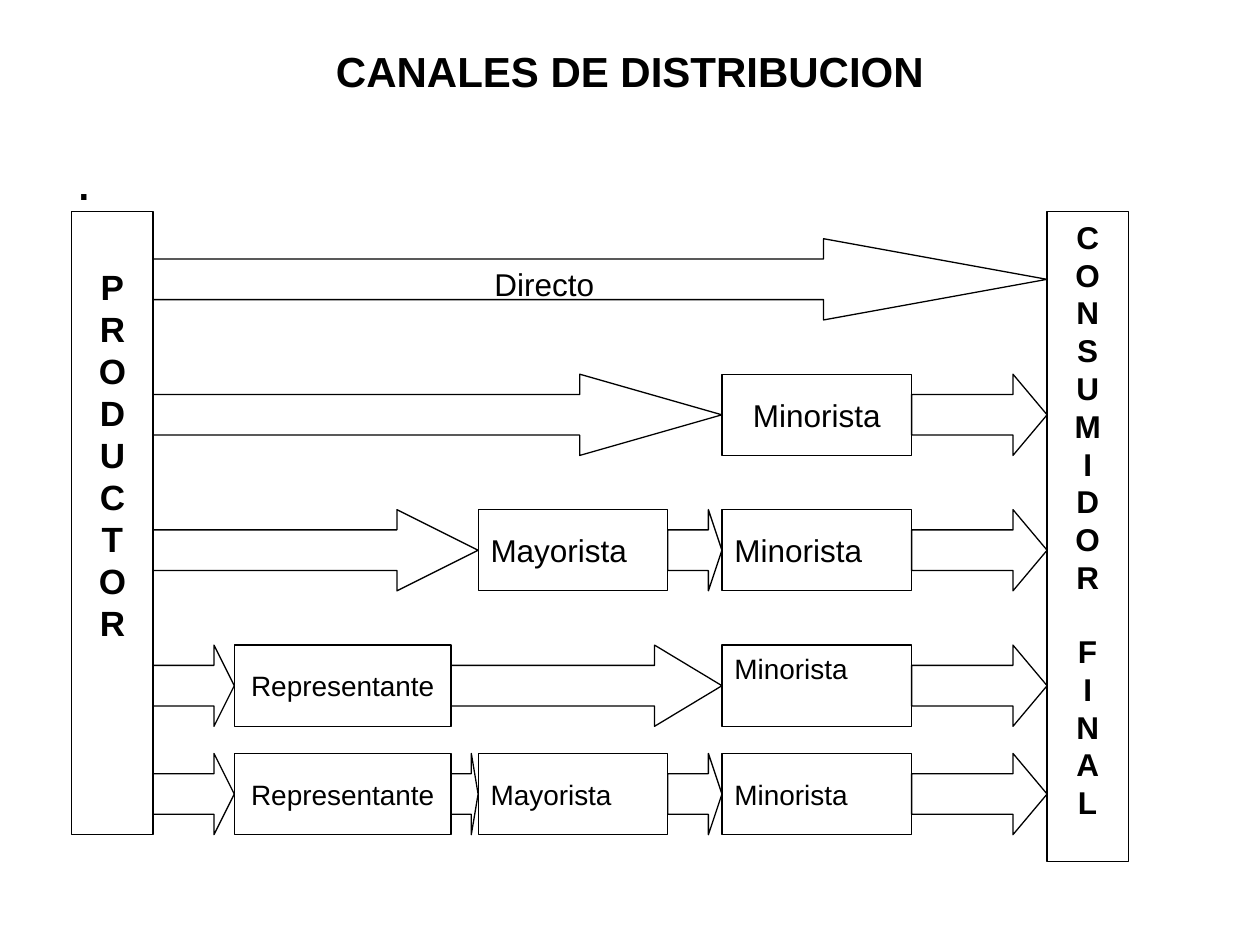
from pptx import Presentation
from pptx.dml.color import RGBColor
from pptx.enum.shapes import MSO_SHAPE
from pptx.enum.text import MSO_ANCHOR, PP_ALIGN
from pptx.util import Inches, Pt

BLACK = RGBColor(0, 0, 0)
FONT = "Arial"
UNIT = 0.215
LEFT, TOP = 0.57, 1.68
BAND = 3
PRODUCER_EDGE, CONSUMER_EDGE = 3, 36
SPANS = {"Representante": (6, 14), "Mayorista": (15, 22), "Minorista": (24, 31)}
CENTER, START = PP_ALIGN.CENTER, PP_ALIGN.LEFT
MIDDLE, UPPER = MSO_ANCHOR.MIDDLE, MSO_ANCHOR.TOP

# Each route: grid row, arrowhead ratios, label size, and stops as (name, alignment, anchor).
ROUTES = [
    (1, [2.75], 18, []),
    (6, [1.75, 0.42], 18, [("Minorista", CENTER, MIDDLE)]),
    (11, [1, 0.25, 0.42], 18, [("Mayorista", START, MIDDLE), ("Minorista", START, MIDDLE)]),
    (16, [0.25, 0.83, 0.42], 16, [("Representante", CENTER, MIDDLE), ("Minorista", START, UPPER)]),
    (20, [0.25, 0.25, 0.25, 0.42], 16, [("Representante", CENTER, MIDDLE),
                                        ("Mayorista", START, MIDDLE), ("Minorista", START, MIDDLE)]),
]


def write(paragraph, text, size, bold=False, alignment=CENTER):
    """Add one formatted run to a paragraph."""
    paragraph.alignment = alignment
    run = paragraph.add_run()
    run.text = text
    run.font.name = FONT
    run.font.size = Pt(size)
    run.font.bold = bold
    run.font.color.rgb = BLACK


def add_text(slide, text, bounds, size, bold=False, alignment=CENTER, anchor=UPPER):
    """Add a wrapped text box with bounds in inches."""
    frame = slide.shapes.add_textbox(*map(Inches, bounds)).text_frame
    frame.word_wrap = True
    frame.vertical_anchor = anchor
    write(frame.paragraphs[0], text, size, bold, alignment)


def add_outline(slide, kind, column, row, columns, rows=BAND):
    """Add an unfilled shape placed on the grid."""
    shape = slide.shapes.add_shape(
        kind, Inches(LEFT + column * UNIT), Inches(TOP + row * UNIT),
        Inches(columns * UNIT), Inches(rows * UNIT))
    shape.shadow.inherit = False
    shape.fill.background()
    shape.line.color.rgb = BLACK
    shape.line.width = Pt(0.75)
    shape.text_frame.vertical_anchor = UPPER
    return shape


def add_pillar(slide, words, column, rows, size, top_inset=0.05):
    """Add a tall box that spells its words one letter per line."""
    frame = add_outline(slide, MSO_SHAPE.RECTANGLE, column, 0, BAND, rows).text_frame
    frame.margin_top = Inches(top_inset)
    paragraph = frame.paragraphs[0]
    for word_index, word in enumerate(words):
        for letter_index, letter in enumerate(word):
            if word_index or letter_index:
                paragraph = frame.add_paragraph()
            if word_index and not letter_index:
                paragraph.space_before = Pt(size * 1.15)
            write(paragraph, letter, size, bold=True)


def add_arrow(slide, start, end, row, head):
    """Add a block arrow between two grid columns."""
    arrow = add_outline(slide, MSO_SHAPE.RIGHT_ARROW, start, row, end - start)
    arrow.adjustments[0] = 0.5
    arrow.adjustments[1] = head
    return arrow


def add_route(slide, row, heads, size, stops):
    """Add the stops of one channel and the arrows that join them."""
    starts, ends = [PRODUCER_EDGE], []
    for name, alignment, anchor in stops:
        first, last = SPANS[name]
        frame = add_outline(slide, MSO_SHAPE.RECTANGLE, first, row, last - first).text_frame
        frame.vertical_anchor = anchor
        write(frame.paragraphs[0], name, size, alignment=alignment)
        starts.append(last)
        ends.append(first)
    ends.append(CONSUMER_EDGE)
    arrows = [add_arrow(slide, start, end, row, head)
              for start, end, head in zip(starts, ends, heads)]
    if not stops:
        write(arrows[0].text_frame.paragraphs[0], "Directo", size)


def main():
    """Build the distribution channel slide."""
    presentation = Presentation()
    presentation.slide_width, presentation.slide_height = Inches(10), Inches(7.5)
    slide = presentation.slides.add_slide(presentation.slide_layouts[6])
    add_text(slide, "CANALES DE DISTRIBUCION", (0.5, 0.3, 9, 0.53), 24, bold=True, anchor=MIDDLE)
    add_text(slide, ".", (0.51, 1.1, 9, 5.63), 32, alignment=START)
    add_pillar(slide, ["PRODUCTOR"], 0, 23, 20, top_inset=0.43)
    add_pillar(slide, ["CONSUMIDOR", "FINAL"], CONSUMER_EDGE, 24, 18)
    for route in ROUTES:
        add_route(slide, *route)
    presentation.save("out.pptx")


if __name__ == "__main__":
    main()
